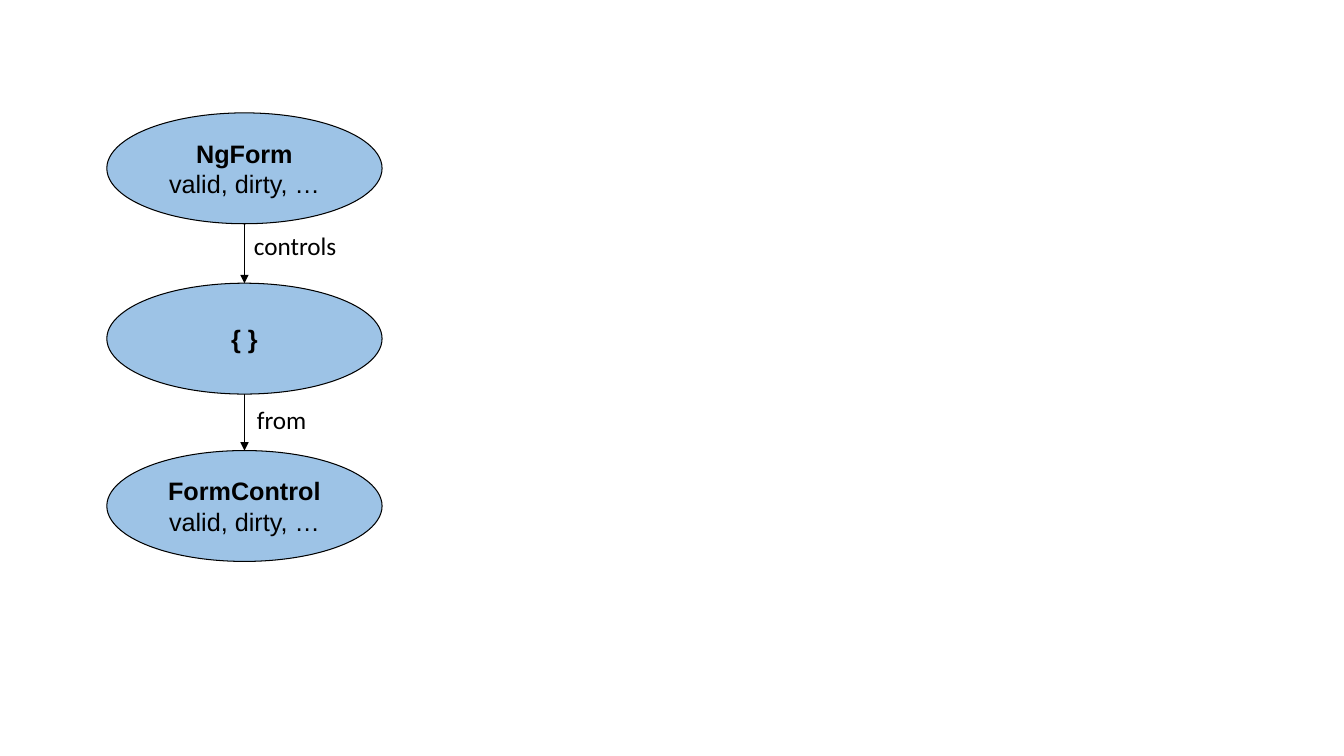
from lxml import etree
from pptx import Presentation
from pptx.dml.color import RGBColor
from pptx.enum.shapes import MSO_CONNECTOR, MSO_SHAPE
from pptx.enum.text import MSO_ANCHOR, MSO_AUTO_SIZE, PP_ALIGN
from pptx.oxml.ns import qn
from pptx.util import Inches, Pt

BLACK = RGBColor(0x00, 0x00, 0x00)
LIGHT_BLUE = RGBColor(0x9D, 0xC3, 0xE6)
ELLIPSE = MSO_SHAPE.OVAL
STRAIGHT = MSO_CONNECTOR.STRAIGHT
MIDDLE = MSO_ANCHOR.MIDDLE
CENTER = PP_ALIGN.CENTER
LEFT = PP_ALIGN.LEFT
FIT_SHAPE = MSO_AUTO_SIZE.SHAPE_TO_FIT_TEXT

NODE_LEFT, NODE_WIDTH, NODE_HEIGHT = 1.06, 2.73, 1.1


class Diagram:
    node_font = "Arial"
    label_font = "Calibri"
    text_size = Pt(18)
    line_width = Pt(0.75)

    def __init__(self, slide):
        self.slide = slide

    def style_line(self, line):
        line.color.rgb = BLACK
        line.width = self.line_width

    def set_text(self, paragraph, text, font_name, bold=False, alignment=LEFT):
        paragraph.text = text
        paragraph.alignment = alignment
        font = paragraph.font
        font.name = font_name
        font.size = self.text_size
        font.bold = bold
        font.color.rgb = BLACK

    def node(self, top, title, detail=None):
        shape = self.slide.shapes.add_shape(
            ELLIPSE, Inches(NODE_LEFT), Inches(top), Inches(NODE_WIDTH), Inches(NODE_HEIGHT)
        )
        shape.shadow.inherit = False
        shape.fill.solid()
        shape.fill.fore_color.rgb = LIGHT_BLUE
        self.style_line(shape.line)
        frame = shape.text_frame
        frame.word_wrap = False
        frame.vertical_anchor = MIDDLE
        self.set_text(frame.paragraphs[0], title, self.node_font, True, CENTER)
        if detail:
            self.set_text(frame.add_paragraph(), detail, self.node_font, False, CENTER)
        return shape

    def arrow(self, upper, lower):
        center = upper.left + upper.width // 2
        connector = self.slide.shapes.add_connector(
            STRAIGHT, center, upper.top + upper.height, center, lower.top
        )
        self.style_line(connector.line)
        properties = connector.element.spPr
        etree.SubElement(properties.get_or_add_ln(), qn("a:tailEnd"), type="triangle")
        etree.SubElement(properties, qn("a:effectLst"))

    def label(self, left, top, width, text):
        box = self.slide.shapes.add_textbox(
            Inches(left), Inches(top), Inches(width), Inches(0.4)
        )
        frame = box.text_frame
        frame.word_wrap = False
        frame.auto_size = FIT_SHAPE
        self.set_text(frame.paragraphs[0], text, self.label_font)


presentation = Presentation()
presentation.slide_width = Inches(13.33)
presentation.slide_height = Inches(7.5)
diagram = Diagram(presentation.slides.add_slide(presentation.slide_layouts[6]))

form_state = "valid, dirty, …"
form = diagram.node(1.12, "NgForm", form_state)
controls = diagram.node(2.81, "{ }")
form_control = diagram.node(4.47, "FormControl", form_state)

diagram.arrow(form, controls)
diagram.label(2.42, 2.24, 1.03, "controls")
diagram.arrow(controls, form_control)
diagram.label(2.45, 3.96, 0.7, "from")

presentation.save("out.pptx")
